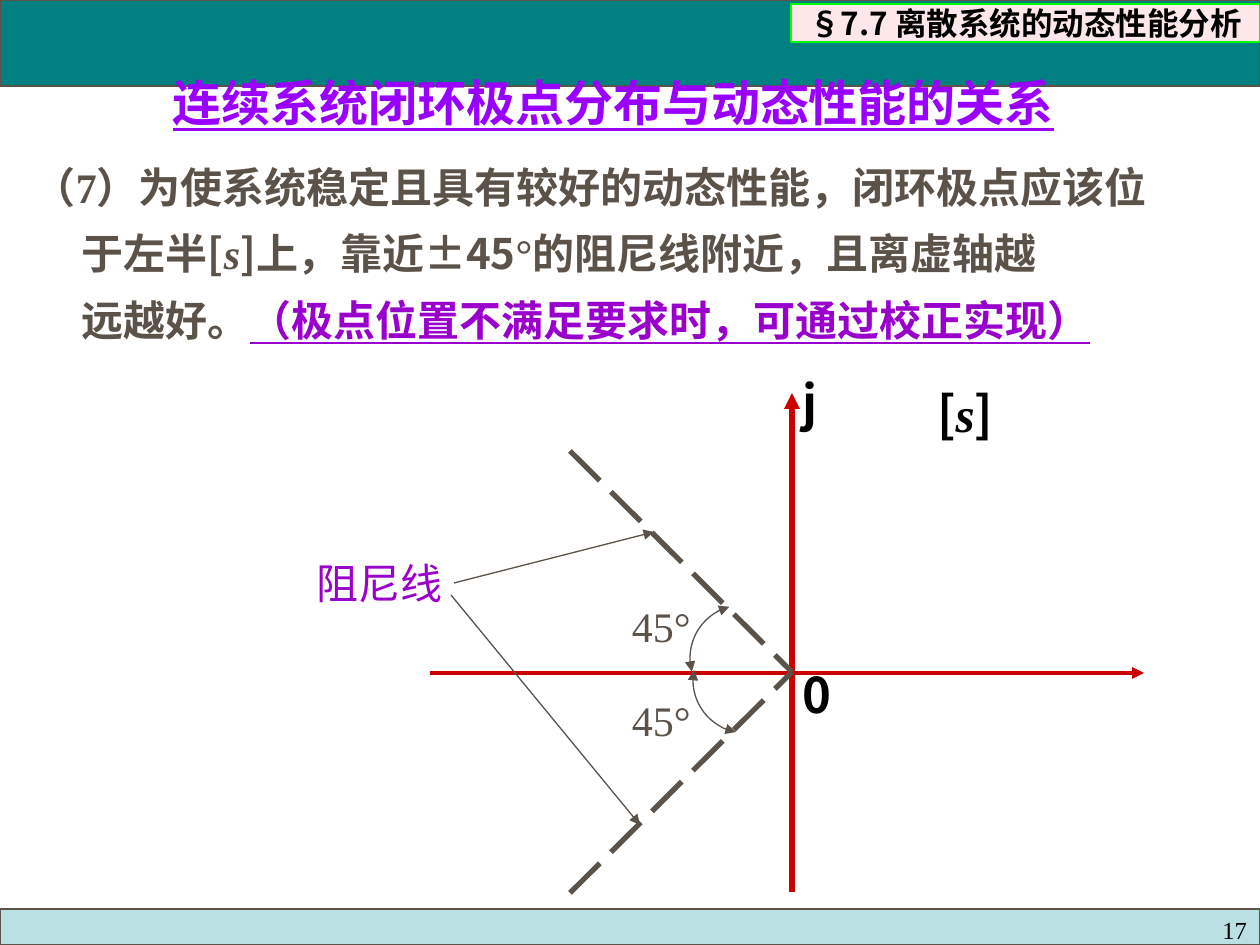
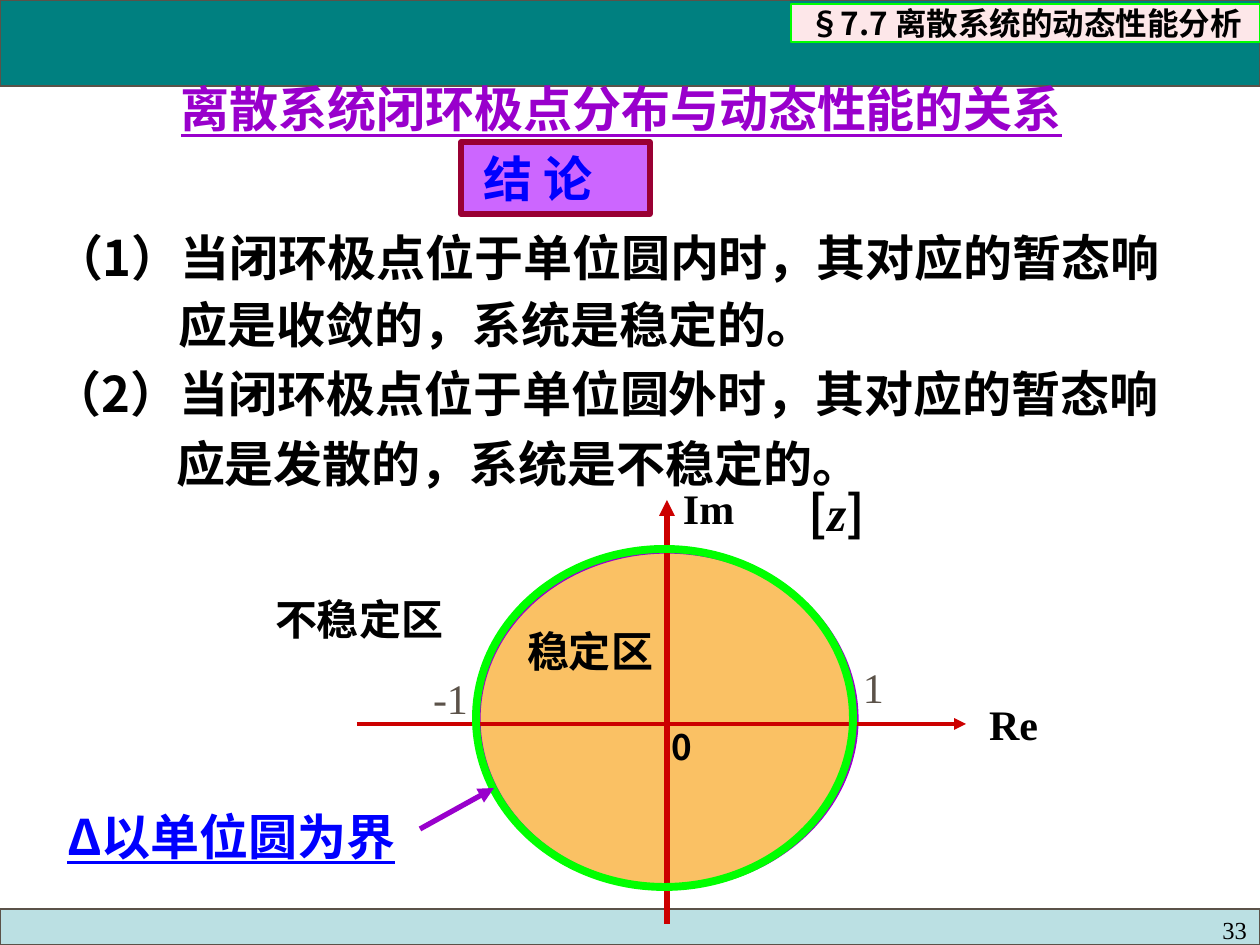
from dataclasses import dataclass

from lxml import etree
from pptx import Presentation
from pptx.dml.color import RGBColor
from pptx.enum.dml import MSO_LINE
from pptx.enum.shapes import MSO_CONNECTOR, MSO_SHAPE
from pptx.enum.text import MSO_ANCHOR, PP_ALIGN
from pptx.oxml.ns import qn
from pptx.util import Emu, Pt

STRAIGHT = MSO_CONNECTOR.STRAIGHT
RECT, OVAL, ARC = MSO_SHAPE.RECTANGLE, MSO_SHAPE.OVAL, MSO_SHAPE.ARC
LONG = MSO_LINE.LONG_DASH
TOP, MID = MSO_ANCHOR.TOP, MSO_ANCHOR.MIDDLE
LEFT, MIDST, RIGHT = PP_ALIGN.LEFT, PP_ALIGN.CENTER, PP_ALIGN.RIGHT
SCALE = 914400 / 126
WIDE, HIGH = 1260, 945
PAD = (13, 6)


@dataclass(frozen=True)
class Theme:
    sans: str = "Noto Sans CJK SC"
    serif: str = "Times New Roman"
    ink: str = "5B5249"
    black: str = "000000"
    teal: str = "008080"
    pale: str = "BBE0E3"
    pink: str = "FDE7E9"
    green: str = "00FF00"
    red: str = "CC0000"
    violet: str = "9900FF"
    purple: str = "9900CC"
    lilac: str = "CC66FF"
    wine: str = "990033"
    blue: str = "0000FF"
    sand: str = "FAC164"
    head: int = 28
    body: int = 24
    small: int = 20
    tag: int = 18
    page: int = 14
    thin: float = 0.75
    axis: float = 2.25
    bold: float = 3
    ring: float = 4.5


T = Theme()


def px(num):
    return Emu(round(num * SCALE))


def rgb(code):
    return RGBColor.from_string(code)


# Text
def write(par, text, font=T.sans, size=T.head, color=T.black,
          bold=True, italic=False, under=False):
    run = par.add_run()
    run.text = text
    face = run.font
    face.name, face.size = font, Pt(size)
    face.bold, face.italic, face.underline = bold, italic, under
    face.color.rgb = rgb(color)
    east = etree.SubElement(run.font._element, qn("a:ea"))
    east.set("typeface", T.sans)


def setup(frame, pad=(0, 0), anchor=TOP):
    frame.word_wrap = True
    frame.vertical_anchor = anchor
    frame.margin_left = frame.margin_right = px(pad[0])
    frame.margin_top = frame.margin_bottom = px(pad[1])
    return frame


def box(slide, at, pad=(0, 0), anchor=TOP):
    return setup(slide.shapes.add_textbox(*map(px, at)).text_frame, pad, anchor)


def label(slide, at, text, pad=(0, 0), anchor=TOP, align=LEFT, **form):
    par = box(slide, at, pad, anchor).paragraphs[0]
    par.alignment = align
    write(par, text, **form)


def plane(slide, at, name):
    par = box(slide, at).paragraphs[0]
    write(par, "[")
    write(par, name, font=T.serif, italic=True)
    write(par, "]")


# Shapes and lines
def shape(slide, kind, at, fill=None, line=T.ink, width=T.thin):
    item = slide.shapes.add_shape(kind, *map(px, at))
    item.shadow.inherit = False
    if fill:
        item.fill.solid()
        item.fill.fore_color.rgb = rgb(fill)
    else:
        item.fill.background()
    item.line.color.rgb = rgb(line)
    item.line.width = Pt(width)
    return item


def tip(item, *ends):
    edge = item._element.spPr.find(qn("a:ln"))
    for end in ends:
        etree.SubElement(edge, qn("a:" + end)).set("type", "triangle")


def line(slide, start, end, color=T.ink, width=T.thin, dash=None, arrow=True):
    item = slide.shapes.add_connector(STRAIGHT, *map(px, start + end))
    item.line.color.rgb = rgb(color)
    item.line.width = Pt(width)
    if dash:
        item.line.dash_style = dash
    if arrow:
        tip(item, "tailEnd")
    etree.SubElement(item._element.spPr, qn("a:effectLst"))


def axes(slide, zero, left, right, top, base):
    x, y = zero
    line(slide, (left, y), (right, y), T.red, T.axis)
    line(slide, (x, base), (x, top), T.red, T.bold)


def arc(slide, mid, rad, start, end):
    x, y = mid
    item = shape(slide, ARC, (x - rad, y - rad, 2 * rad, 2 * rad))
    # Angles are held in 60000ths of a degree, scaled by 100000
    item.adjustments[0] = start * 0.6
    item.adjustments[1] = end * 0.6
    tip(item, "headEnd", "tailEnd")


# Bands, section tag and page number
def base(deck, page):
    slide = deck.slides.add_slide(deck.slide_layouts[6])
    shape(slide, RECT, (0, 909, WIDE, 36), T.pale)
    shape(slide, RECT, (0, 0, WIDE, 86), T.teal)
    tag = shape(slide, RECT, (791, 4, 469, 38), T.pink, T.green)
    par = setup(tag.text_frame, anchor=MID).paragraphs[0]
    par.alignment = MIDST
    write(par, "§7.7 离散系统的动态性能分析", size=T.tag)
    label(slide, (1169, 909, 91, 36), str(page), PAD, align=RIGHT,
          font=T.serif, size=T.page, bold=False)
    return slide


def title(slide, left, top, text, color):
    label(slide, (left, top, 970, 59), text, color=color, under=True)


def rule(slide):
    ink = dict(size=T.body, color=T.ink)
    rows = [
        [("（7）为使系统稳定且具有较好的动态性能，", dict(font=T.serif)),
         ("闭环极点应该位", {})],
        [("于左半[", {}), ("s", dict(font=T.serif, italic=True)),
         ("]上，靠近±45", {}), ("°的阻尼线附近，", dict(font=T.serif)),
         ("且离虚轴越", {})],
        [("远越好。", {}),
         ("（极点位置不满足要求时，可通过校正实现）",
          dict(color=T.purple, under=True))],
    ]
    frame = box(slide, (21, 165, 1200, 186), PAD)
    for num, row in enumerate(rows):
        par = frame.add_paragraph() if num else frame.paragraphs[0]
        par.line_spacing = 0.8
        par.space_before = Pt(15)
        if num:
            par._p.get_or_add_pPr().set("marL", str(px(48)))
        for text, form in row:
            write(par, text, **{**ink, **form})


def damping(deck):
    slide = base(deck, 17)
    title(slide, 173, 73, "连续系统闭环极点分布与动态性能的关系", T.violet)
    rule(slide)

    # Axes of the s plane
    axes(slide, (792, 673), 430, 1144, 393, 892)
    plane(slide, (937, 384, 93, 59), "s")
    label(slide, (803, 373, 73, 59), "j")
    label(slide, (803, 665, 62, 59), "0")

    # Damping lines with their angles
    for end in (451, 893):
        line(slide, (570, end), (792, 672), width=T.bold, dash=LONG, arrow=False)
    arc(slide, (743, 658), 53, 165, 255)
    arc(slide, (746, 680), 53, 101, 191)
    for top in (595, 689):
        label(slide, (619, top, 116, 63), "45°", PAD, font=T.serif,
              size=T.body, color=T.ink, bold=False)

    # Callout
    line(slide, (454, 583), (654, 532))
    line(slide, (451, 595), (640, 825))
    label(slide, (304, 552, 168, 63), "阻尼线", PAD, font=T.serif,
          size=T.body, color=T.purple, bold=False)


def circle(deck):
    slide = base(deck, 33)
    title(slide, 181, 79, "离散系统闭环极点分布与动态性能的关系", T.purple)
    sign = shape(slide, RECT, (461, 142, 189, 72), T.lilac, T.wine, T.bold)
    par = setup(sign.text_frame, (23, 6)).paragraphs[0]
    par.alignment = LEFT
    write(par, "结 论", color=T.blue)

    # Conclusions
    for left, top, text in (
            (54, 227, "（1）当闭环极点位于单位圆内时，其对应的暂态响"),
            (179, 294, "应是收敛的，系统是稳定的。"),
            (53, 363, "（2）当闭环极点位于单位圆外时，其对应的暂态响"),
            (176, 433, "应是发散的，系统是不稳定的。")):
        label(slide, (left, top, 1180, 59), text, anchor=MID)

    # Unit circle and axes of the z plane
    shape(slide, OVAL, (478, 551, 378, 336), T.sand, T.purple, T.bold)
    axes(slide, (667, 724), 357, 966, 500, 924)
    shape(slide, OVAL, (476, 549, 377, 338), None, T.green, T.ring)
    plane(slide, (809, 483, 93, 59), "z")
    label(slide, (672, 725, 62, 42), "0", size=T.small)
    label(slide, (683, 483, 73, 50), "Im", font=T.serif, size=T.body)

    # Names of points and regions
    for left, top, wide, text, color in (
            (976, 693, 84, "Re", T.black), (850, 656, 53, "1", T.ink),
            (420, 667, 84, "-1", T.ink), (514, 620, 158, "稳定区", T.black),
            (262, 588, 210, "不稳定区", T.black)):
        label(slide, (left, top, wide, 63), text, PAD, font=T.serif,
              size=T.body, color=color, bold=color == T.black)

    # Border note
    par = box(slide, (54, 800, 397, 72), PAD).paragraphs[0]
    write(par, "Δ", color=T.blue, under=True)
    write(par, "以单位圆为界", font=T.serif, color=T.blue, under=True)
    line(slide, (420, 829), (494, 788), T.purple, T.bold)


def main():
    deck = Presentation()
    deck.slide_width, deck.slide_height = px(WIDE), px(HIGH)
    damping(deck)
    circle(deck)
    deck.save("out.pptx")


if __name__ == "__main__":
    main()
